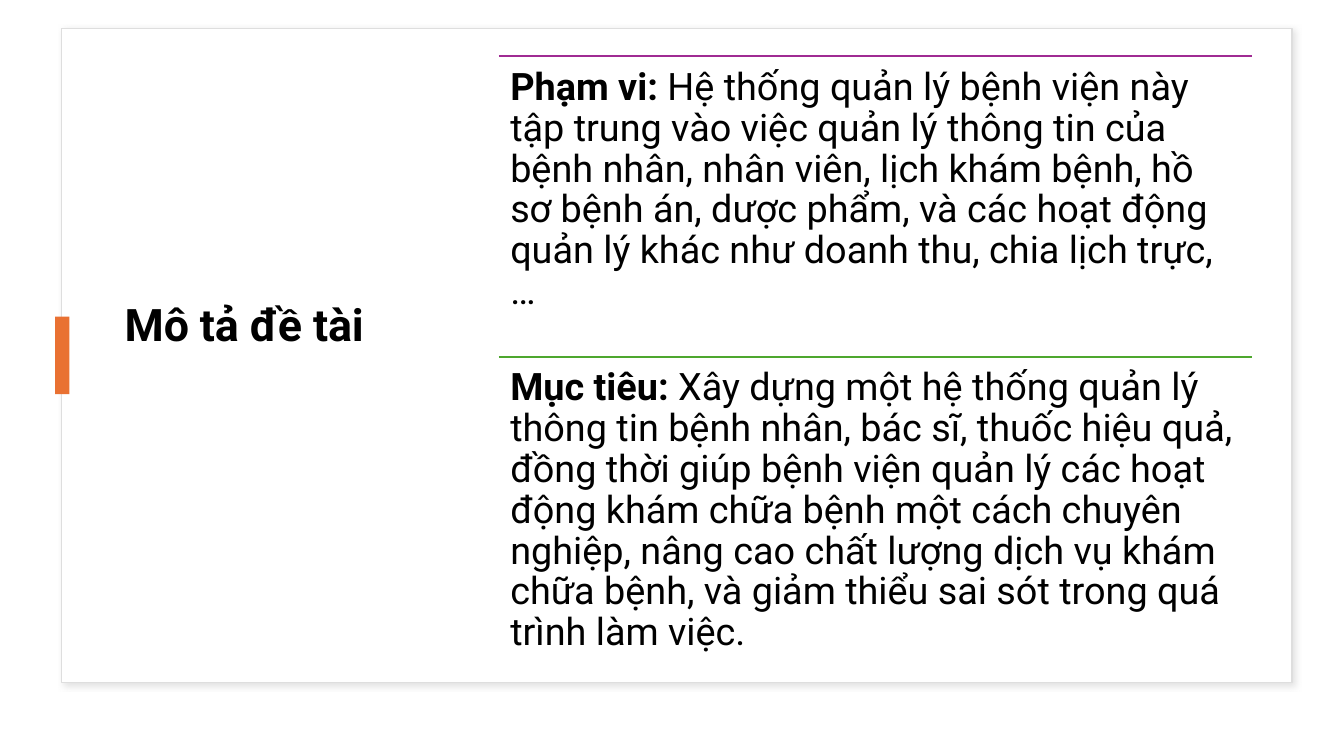
import pptx
import pptx.util
import pptx.dml.color
import pptx.enum.shapes
import pptx.enum.text
import pptx.oxml
import pptx.oxml.ns
from pptx.util import Pt

COLORS = {
    "card": "FFFFFF",
    "border": "DEDEDE",
    "shadow": "C5C5C5",
    "accent": "E97132",
    "text": "000000",
    "scope": "A02B93",
    "goal": "4EA72E",
}
FONT = "Roboto"
A_NS = pptx.oxml.ns.nsdecls("a")

SECTIONS = [
    ("scope", "Phạm vi:",
     " Hệ thống quản lý bệnh viện này tập trung vào việc quản lý thông tin của "
     "bệnh nhân, nhân viên, lịch khám bệnh, hồ sơ bệnh án, dược phẩm, và các hoạt "
     "động quản lý khác như doanh thu, chia lịch trực, …"),
    ("goal", "Mục tiêu:",
     " Xây dựng một hệ thống quản lý thông tin bệnh nhân, bác sĩ, thuốc hiệu quả, "
     "đồng thời giúp bệnh viện quản lý các hoạt động khám chữa bệnh một cách chuyên "
     "nghiệp, nâng cao chất lượng dịch vụ khám chữa bệnh, và giảm thiểu sai sót "
     "trong quá trình làm việc."),
]


def color(name):
    return pptx.dml.color.RGBColor.from_string(COLORS[name])


def add_rectangle(page, left, top, width, height, fill):
    shape = page.shapes.add_shape(
        pptx.enum.shapes.MSO_SHAPE.RECTANGLE, Pt(left), Pt(top), Pt(width), Pt(height))
    shape.shadow.inherit = False
    shape.fill.solid()
    shape.fill.fore_color.rgb = color(fill)
    shape.line.fill.background()
    return shape


def add_text(page, left, top, width, height, size):
    """Add a wrapped text box and return its frame and styled first paragraph."""
    box = page.shapes.add_textbox(Pt(left), Pt(top), Pt(width), Pt(height))
    frame = box.text_frame
    frame.word_wrap = True
    para = frame.paragraphs[0]
    para.line_spacing = 0.9
    para.font.name = FONT
    para.font.size = Pt(size)
    para.font.color.rgb = color("text")
    return frame, para


def add_card(page, left, top, width, height):
    card = add_rectangle(page, left, top, width, height, "card")
    card.line.color.rgb = color("border")
    card.line.width = Pt(1)
    # Soft shadow towards the lower right
    effects = card._element.spPr.find(pptx.oxml.ns.qn("a:effectLst"))
    effects.append(pptx.oxml.parse_xml(
        f'<a:outerShdw {A_NS} blurRad="{Pt(4)}" dist="{Pt(3)}" dir="2700000" '
        f'algn="tl" rotWithShape="0"><a:srgbClr val="{COLORS["shadow"]}">'
        '<a:alpha val="50000"/></a:srgbClr></a:outerShdw>'))


def add_title(page, left, top, width, height):
    frame, para = add_text(page, left, top, width, height, 32)
    frame.vertical_anchor = pptx.enum.text.MSO_ANCHOR.MIDDLE
    para.font.bold = True
    span = para.add_run()
    span.text = "Mô tả đề tài"
    span._r.get_or_add_rPr().set("spc", "-10")


def add_section(page, left, top, width, height, rule, label, body):
    # Coloured rule along the top
    line = page.shapes.add_connector(
        pptx.enum.shapes.MSO_CONNECTOR.STRAIGHT,
        Pt(left), Pt(top), Pt(left + width), Pt(top))
    line.line.color.rgb = color(rule)
    line.line.width = Pt(1.5)
    line._element.spPr.append(pptx.oxml.parse_xml(f"<a:effectLst {A_NS}/>"))

    # Bold label followed by the description
    frame, para = add_text(page, left, top, width, height, 27)
    frame.margin_left = frame.margin_right = Pt(8.1)
    frame.margin_top = frame.margin_bottom = Pt(8.1)
    for text, bold in ((label, True), (body, False)):
        span = para.add_run()
        span.text = text
        span.font.bold = bold


def add_sections(page, left, top, width, height):
    step = height / len(SECTIONS)
    for index, section in enumerate(SECTIONS):
        add_section(page, left, top + index * step, width, step, *section)


def main():
    deck = pptx.Presentation()
    deck.slide_width, deck.slide_height = Pt(960), Pt(540)
    page = deck.slides.add_slide(deck.slide_layouts[6])

    add_card(page, 44, 20.2, 879, 467.3)
    add_title(page, 82, 39.6, 235.5, 388)
    add_rectangle(page, 39.5, 226.2, 10.2, 55.4, "accent")
    add_sections(page, 356.4, 40.2, 537.8, 429)

    deck.save("out.pptx")


if __name__ == "__main__":
    main()
